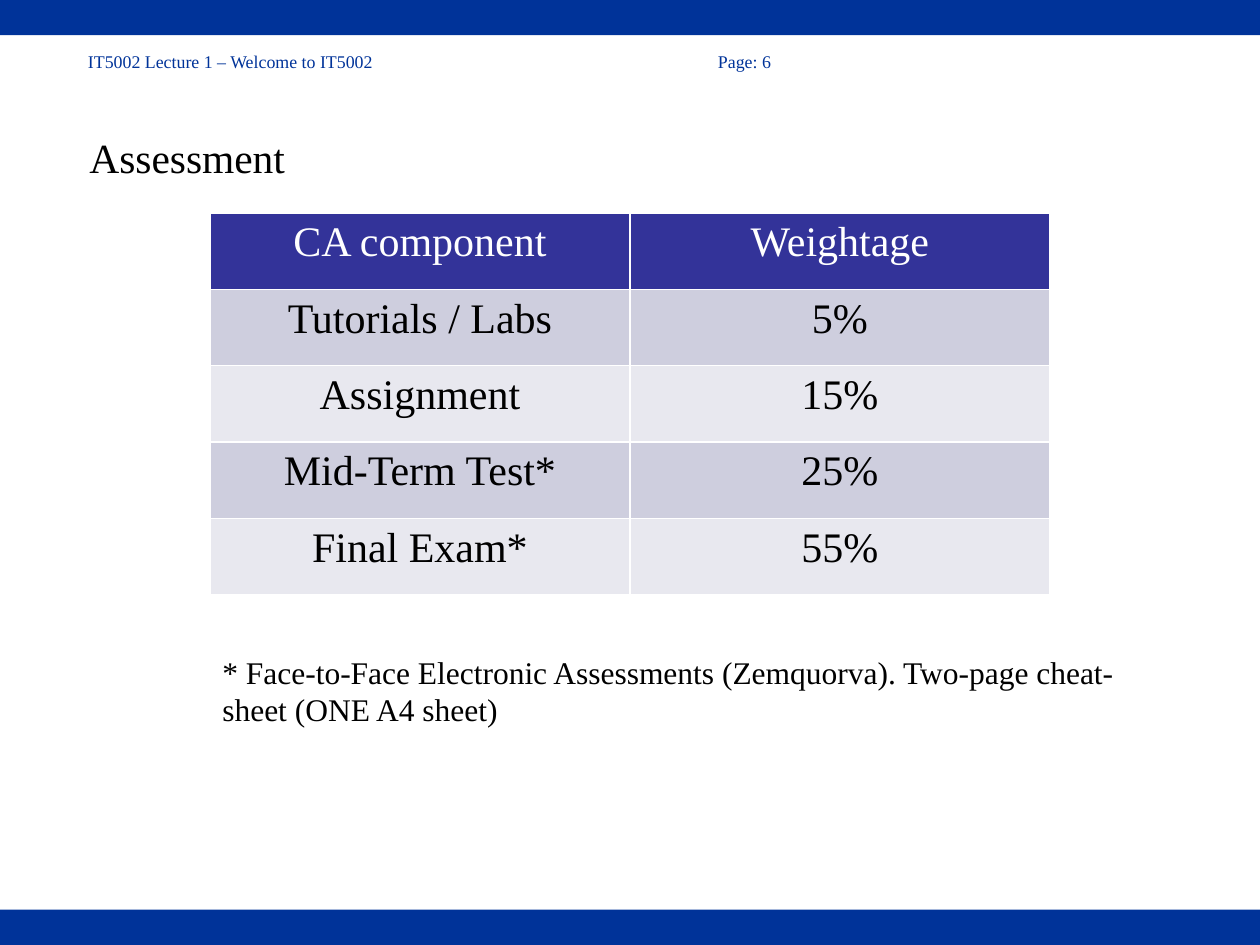
from lxml.etree import SubElement
from pptx import Presentation
from pptx.dml.color import RGBColor
from pptx.enum.shapes import MSO_SHAPE as Preset
from pptx.enum.text import MSO_ANCHOR as Anchor, MSO_AUTO_SIZE as AutoSize, PP_ALIGN as Align
from pptx.oxml.ns import qn
from pptx.util import Inches, Pt

WIDTH, HEIGHT = Inches(10), Inches(7.5)
FONT = "Times New Roman"
BLUE = RGBColor(0x00, 0x33, 0x99)
INDIGO = RGBColor(0x33, 0x33, 0x99)
LAVENDER = RGBColor(0xCE, 0xCE, 0xDE)
PALE = RGBColor(0xE8, 0xE8, 0xEF)
WHITE = RGBColor(0xFF, 0xFF, 0xFF)
BLACK = RGBColor(0x00, 0x00, 0x00)

ROWS = [
    ("CA component", "Weightage"),
    ("Tutorials / Labs", "5%"),
    ("Assignment", "15%"),
    ("Mid-Term Test*", "25%"),
    ("Final Exam*", "55%"),
]


def inches(*lengths):
    return [Inches(length) for length in lengths]


def write(frame, text, size=24, color=BLACK, align=Align.LEFT):
    paragraph = frame.paragraphs[0]
    paragraph.alignment = align
    run = paragraph.add_run()
    run.text = text
    run.font.name = FONT
    run.font.size = Pt(size)
    run.font.bold = False
    run.font.color.rgb = color
    return paragraph


def add_band(slide, left, top, width, height):
    shape = slide.shapes.add_shape(Preset.RECTANGLE, left, top, width, height)
    shape.shadow.inherit = False
    shape.fill.solid()
    shape.fill.fore_color.rgb = BLUE
    shape.line.fill.background()


def add_text(slide, box, text, **style):
    shape = slide.shapes.add_textbox(*box)
    shape.text_frame.word_wrap = True
    return write(shape.text_frame, text, **style)


def add_running_header(slide, box):
    text = "IT5002 Lecture 1 – Welcome to IT5002\t\t\tPage: 6"
    paragraph = add_text(slide, box, text, size=10.2, color=BLUE)
    properties = paragraph._p.get_or_add_pPr()
    stops = SubElement(properties, qn("a:tabLst"))
    for position in (3, 4, 5):
        SubElement(stops, qn("a:tab"), pos=str(Inches(position)), algn="l")


def add_title(slide, box):
    title = slide.shapes.title
    title.left, title.top, title.width, title.height = box
    frame = title.text_frame
    frame.auto_size = AutoSize.NONE
    frame.vertical_anchor = Anchor.MIDDLE
    frame.margin_left = frame.margin_right = Inches(0.11)
    frame.margin_top = frame.margin_bottom = Inches(0.06)
    write(frame, "Assessment", size=23.7)


def add_borders(cell):
    properties = cell._tc.get_or_add_tcPr()
    for index, side in enumerate(("lnL", "lnR", "lnT", "lnB")):
        line = properties.makeelement(qn(f"a:{side}"), {"w": str(Pt(1))})
        fill = SubElement(line, qn("a:solidFill"))
        SubElement(fill, qn("a:srgbClr"), val=str(WHITE))
        properties.insert(index, line)


def add_weight_table(slide, box):
    table = slide.shapes.add_table(len(ROWS), len(ROWS[0]), *box).table
    for row_index, row in enumerate(ROWS):
        header = row_index == 0
        band = LAVENDER if row_index % 2 else PALE
        for column_index, text in enumerate(row):
            cell = table.cell(row_index, column_index)
            cell.fill.solid()
            cell.fill.fore_color.rgb = INDIGO if header else band
            add_borders(cell)
            write(cell.text_frame, text, color=WHITE if header else BLACK, align=Align.CENTER)


def add_footnote(slide, box):
    text = "* Face-to-Face Electronic Assessments (Zemquorva). Two-page cheat-sheet (ONE A4 sheet)"
    add_text(slide, box, text, size=18)


def build_assessment_slide(presentation):
    slide = presentation.slides.add_slide(presentation.slide_layouts[5])
    band = Inches(0.28)
    for top in (HEIGHT - band, 0):
        add_band(slide, 0, top, WIDTH, band)
    add_running_header(slide, inches(0.6, 0.35, 7.13, 0.27))
    add_title(slide, inches(0.6, 0.62, 7.13, 1.25))
    add_weight_table(slide, (WIDTH // 6, Inches(1.69), WIDTH * 2 // 3, Inches(3.03)))
    add_footnote(slide, (WIDTH // 6, *inches(5.13, 7.57, 0.71)))


def main():
    presentation = Presentation()
    presentation.slide_width, presentation.slide_height = WIDTH, HEIGHT
    build_assessment_slide(presentation)
    presentation.save("out.pptx")


if __name__ == "__main__":
    main()
